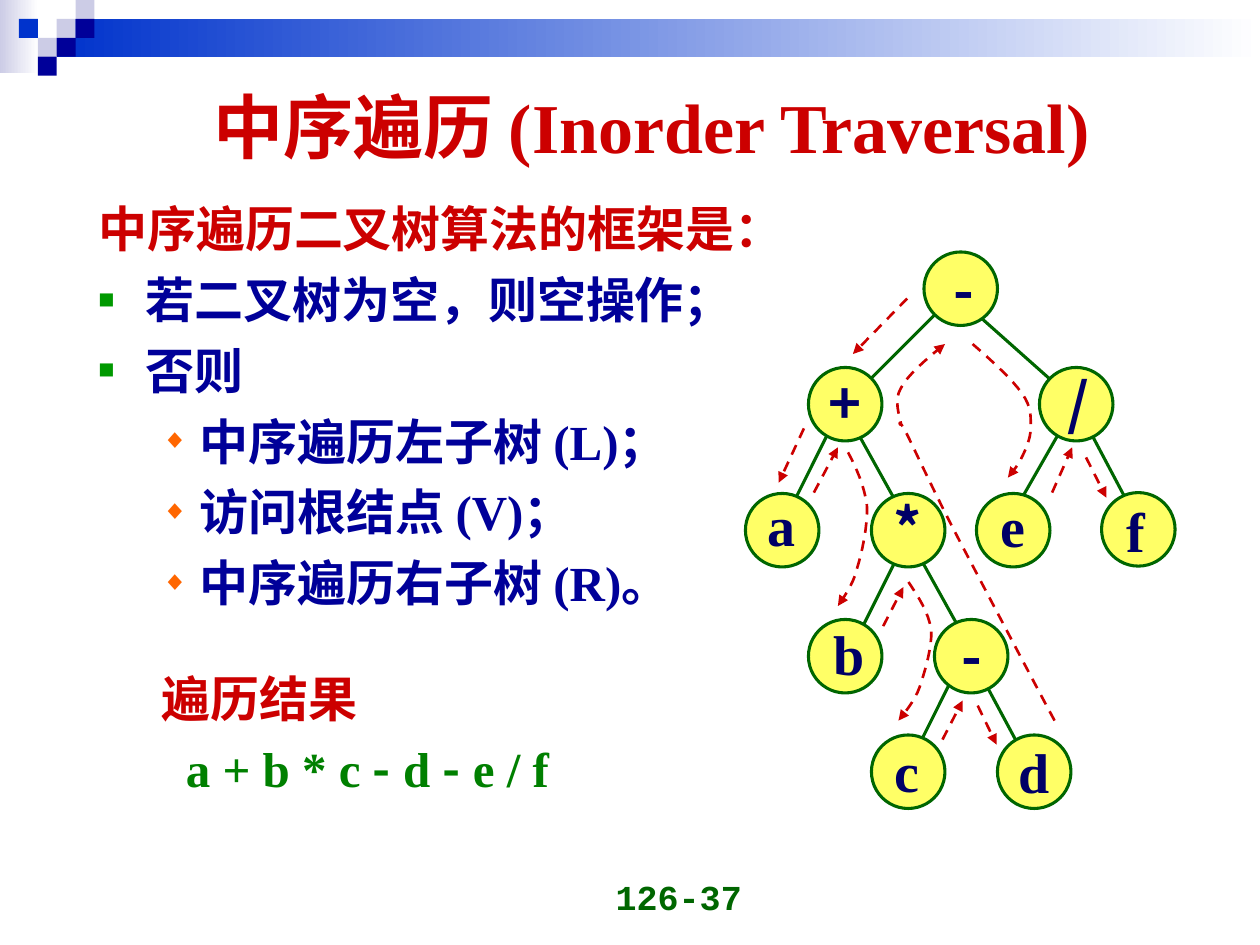
from lxml import etree
from pptx import Presentation
from pptx import util as u
from pptx.dml.color import RGBColor
from pptx.enum import dml, shapes, text
from pptx.oxml.ns import qn

COLORS = {
    "red": "CC0000", "navy": "000099", "label": "000066", "green": "006600",
    "result": "008000", "square": "009900", "diamond": "FF6600",
    "yellow": "FFFF66", "lilac": "CCCCE6", "blue": "0033CC", "white": "FFFFFF",
}
SERIF, SANS, CJK, MONO = "Times New Roman", "Arial", "Noto Sans CJK SC", "Courier New"


def rgb(name):
    return RGBColor.from_string(COLORS[name])


def write(paragraph, words, size=28, font=SERIF, color="navy"):
    """Add one bold run to a paragraph."""
    run = paragraph.add_run()
    run.text = words
    run.font.size, run.font.bold, run.font.name = u.Pt(size), True, font
    run.font.color.rgb = rgb(color)
    etree.SubElement(run._r.rPr, qn("a:ea"), typeface=CJK)


def set_list_style(paragraph, left, hanging=0, bullet=None, bullet_color=None):
    """Set the indents and the bullet of a paragraph."""
    properties = paragraph._p.get_or_add_pPr()
    properties.set("marL", str(u.Pt(left)))
    properties.set("indent", str(-u.Pt(hanging)))
    if not bullet:
        etree.SubElement(properties, qn("a:buNone"))
        return
    color = etree.SubElement(properties, qn("a:buClr"))
    etree.SubElement(color, qn("a:srgbClr"), val=COLORS[bullet_color])
    etree.SubElement(properties, qn("a:buSzPct"), val="55000")
    etree.SubElement(properties, qn("a:buFont"), typeface=SANS)
    etree.SubElement(properties, qn("a:buChar"), char=bullet)


def bezier_points(points, steps=8):
    """Sample a chain of cubic curves: a start, then three points for each curve."""
    sampled = [points[0]]
    for i in range(0, len(points) - 1, 3):
        for step in range(1, steps + 1):
            t = step / steps
            weights = ((1 - t) ** 3, 3 * t * (1 - t) ** 2, 3 * t * t * (1 - t), t ** 3)
            sampled.append(tuple(sum(w * p[axis] for w, p in zip(weights, points[i:i + 4]))
                                 for axis in (0, 1)))
    return sampled


class TreeSlide:
    diameter = 42
    edge_width, arrow_width = 1.75, 1.5

    def __init__(self, slide):
        self.slide = slide
        self.shapes = slide.shapes

    def place(self, shape, left, top, width, height):
        shape.left, shape.top = u.Pt(left), u.Pt(top)
        shape.width, shape.height = u.Pt(width), u.Pt(height)

    def rectangle(self, left, top, width, height, color, fade=False):
        shape = self.shapes.add_shape(shapes.MSO_SHAPE.RECTANGLE, u.Pt(left), u.Pt(top),
                                      u.Pt(width), u.Pt(height))
        shape.shadow.inherit = False
        shape.line.fill.background()
        if fade:
            shape.fill.gradient()
            shape.fill.gradient_angle = 0
            for stop, name in zip(shape.fill.gradient_stops, (color, "white")):
                stop.color.rgb = rgb(name)
        else:
            shape.fill.solid()
            shape.fill.fore_color.rgb = rgb(color)

    def text_box(self, words, left, top, width, height, align, anchor, wrap=True, **style):
        box = self.shapes.add_textbox(u.Pt(left), u.Pt(top), u.Pt(width), u.Pt(height))
        frame = box.text_frame
        frame.word_wrap, frame.vertical_anchor = wrap, anchor
        frame.paragraphs[0].alignment = align
        write(frame.paragraphs[0], words, **style)

    def circle(self, x, y):
        radius = self.diameter / 2
        shape = self.shapes.add_shape(shapes.MSO_SHAPE.OVAL, u.Pt(x - radius), u.Pt(y - radius),
                                      u.Pt(self.diameter), u.Pt(self.diameter))
        shape.shadow.inherit = False
        shape.fill.solid()
        shape.fill.fore_color.rgb = rgb("yellow")
        shape.line.color.rgb = rgb("green")
        shape.line.width = u.Pt(self.edge_width)

    def line(self, start, end):
        connector = self.shapes.add_connector(shapes.MSO_CONNECTOR.STRAIGHT,
                                              *(u.Pt(v) for v in (*start, *end)))
        etree.SubElement(connector._element.spPr, qn("a:effectLst"))
        connector.line.color.rgb = rgb("green")
        connector.line.width = u.Pt(self.edge_width)
        return connector

    def dash_arrow(self, shape):
        line = shape.line
        line.color.rgb, line.width = rgb("red"), u.Pt(self.arrow_width)
        line.dash_style = dml.MSO_LINE.DASH
        etree.SubElement(line._get_or_add_ln(), qn("a:tailEnd"), type="triangle")

    def curve(self, points):
        first, *rest = [(u.Pt(x), u.Pt(y)) for x, y in bezier_points(points)]
        builder = self.shapes.build_freeform(*first)
        builder.add_line_segments(rest, close=False)
        shape = builder.convert_to_shape()
        shape.shadow.inherit = False
        shape.fill.background()
        self.dash_arrow(shape)


presentation = Presentation()
presentation.slide_width, presentation.slide_height = u.Pt(720), u.Pt(540)
page = TreeSlide(presentation.slides.add_slide(presentation.slide_layouts[1]))

# Banner and checker pattern
page.rectangle(0, 0, 22, 42, "lilac", fade=True)
page.rectangle(32.4, 10.8, 687.6, 21.6, "blue", fade=True)
step = 10.8
for column, row, color in ((3, 1, "lilac"), (4, 0, "lilac"), (4, 1, "navy"), (2, 2, "lilac"),
                           (1, 1, "blue"), (3, 2, "navy"), (2, 3, "navy")):
    page.rectangle(column * step, row * step, step, step, color)

# Title
title = page.shapes.title
page.place(title, 93.6, 37.4, 557.3, 68.4)
title.text_frame.vertical_anchor = text.MSO_ANCHOR.MIDDLE
title.text_frame.auto_size = text.MSO_AUTO_SIZE.NONE
title.text_frame.paragraphs[0].alignment = text.PP_ALIGN.CENTER
write(title.text_frame.paragraphs[0], "中序遍历 (Inorder Traversal)", size=40, color="red")

# Algorithm and result
body = page.slide.placeholders[1]
page.place(body, 49, 106.6, 444.2, 396)
body.text_frame.auto_size = text.MSO_AUTO_SIZE.NONE
plain = dict(left=27, hanging=27)
square = dict(plain, bullet="■", bullet_color="square")
diamond = dict(left=58, hanging=22, bullet="◆", bullet_color="diamond")
result = [("a + b * c ", SERIF), ("-", CJK), (" d ", SERIF), ("-", CJK), (" e / f", SERIF)]
body_lines = [
    ([("中序遍历二叉树算法的框架是：", SANS)], "red", 0, plain),
    ([("若二叉树为空，则空操作；", SANS)], "navy", 3.5, square),
    ([("否则", SANS)], "navy", 3.5, square),
    ([("中序遍历左子树 (L)；", SERIF)], "navy", 3.5, diamond),
    ([("访问根结点 (V)；", SERIF)], "navy", 3.5, diamond),
    ([("中序遍历右子树 (R)。", SERIF)], "navy", 3.5, diamond),
    ([("遍历结果", SERIF)], "red", 29, dict(left=36)),
    (result, "result", 3.5, dict(left=50)),
]
for i, (runs, color, before, list_style) in enumerate(body_lines):
    paragraph = body.text_frame.add_paragraph() if i else body.text_frame.paragraphs[0]
    paragraph.line_spacing, paragraph.space_before = 1.1, u.Pt(before)
    set_list_style(paragraph, **list_style)
    for words, font in runs:
        write(paragraph, words, font=font, color=color)

# Tree edges
for start, end in (((559, 383), (588, 437)), ((620.5, 242), (648, 294)), ((486, 240), (516, 294)),
                   ((522, 312), (552, 366)), ((610, 239), (582, 288)), ((546, 384), (522, 432)),
                   ((516, 312), (492, 360)), ((474, 246), (450, 294)), ((552, 174), (606, 222)),
                   ((540, 174), (492, 222))):
    page.line(start, end)

# Tree nodes: label, centre, label offset, label width, font
nodes = [
    ("-", 549, 165, 1.5, 0, 34, CJK), ("+", 483, 231, 0, -1.3, 34, CJK),
    ("/", 615, 231, 1, -1.3, 34, CJK), ("a", 447, 303, -0.5, -3.5, 30, SERIF),
    ("*", 519, 303, -0.5, -2, 30, CJK), ("e", 579, 303, 0, -3, 29, SERIF),
    ("f", 650.5, 302.5, -1.5, 0.5, 25, SERIF), ("b", 483, 375, 2, -2, 32, SERIF),
    ("-", 555, 375, 0.5, -0.5, 34, CJK), ("c", 519, 441, -0.5, -1, 29, SERIF),
    ("d", 591, 441, 0, -0.5, 32, SERIF),
]
label_height = 46
for label, x, y, dx, dy, width, font in nodes:
    page.circle(x, y)
    page.text_box(label, x + dx - width / 2, y + dy - label_height / 2, width, label_height,
                  text.PP_ALIGN.CENTER, text.MSO_ANCHOR.MIDDLE, wrap=False,
                  size=32, font=font, color="label")

# Traversal path: straight steps
for start, end in (((518.4, 170.6), (487.4, 202.3)), ((459.4, 244.8), (445, 275.8)),
                   ((465.1, 281.5), (478.8, 255.6)), ((504.7, 357.8), (516.2, 335.5)),
                   ((538.6, 422.6), (550.1, 400.3)), ((558.7, 403.2), (569.5, 425.5)),
                   ((601.2, 281.5), (612.7, 255.6)), ((620.6, 261.4), (632.2, 284.4))):
    page.dash_arrow(page.line(start, end))

# Traversal path: curved steps
for points in (
    [(484.6, 258.5), (489.6, 267.8), (493.9, 277.9), (495.4, 288.7), (496, 300.2),
     (492.5, 316.1), (489.6, 325.4), (487.4, 334.8), (481, 342.7), (478.8, 346.3)],
    [(519.1, 332.6), (524.9, 341.3), (530.6, 349.9), (532.1, 360), (532.8, 369.4),
     (528.5, 383.8), (525.6, 392.4), (522.7, 401), (515.5, 409), (513.4, 411.8)],
    [(602.6, 411.8), (593.3, 394.6), (563, 337), (548.6, 309.6), (534.2, 282.2),
     (523.4, 258.5), (517.7, 247), (511.9, 236.2), (514.8, 245.5), (514.8, 241.9),
     (514.1, 237.6), (510.5, 229), (514.8, 221.8), (518.4, 214.6), (529.2, 205.2), (540, 196.6)],
    [(555.8, 196.6), (567.4, 206.6), (578.2, 216.7), (583.9, 224.6), (589.7, 232.6),
     (589, 238.3), (589, 244.8), (589, 250.6), (586.1, 257), (583.9, 261.4),
     (581.8, 266.4), (577.4, 270.7), (576, 272.9)],
):
    page.curve(points)

# Page number
page.text_box("126-37", 263, 492, 168, 36, text.PP_ALIGN.RIGHT, text.MSO_ANCHOR.BOTTOM,
              size=20, font=MONO, color="green")

presentation.save("out.pptx")
